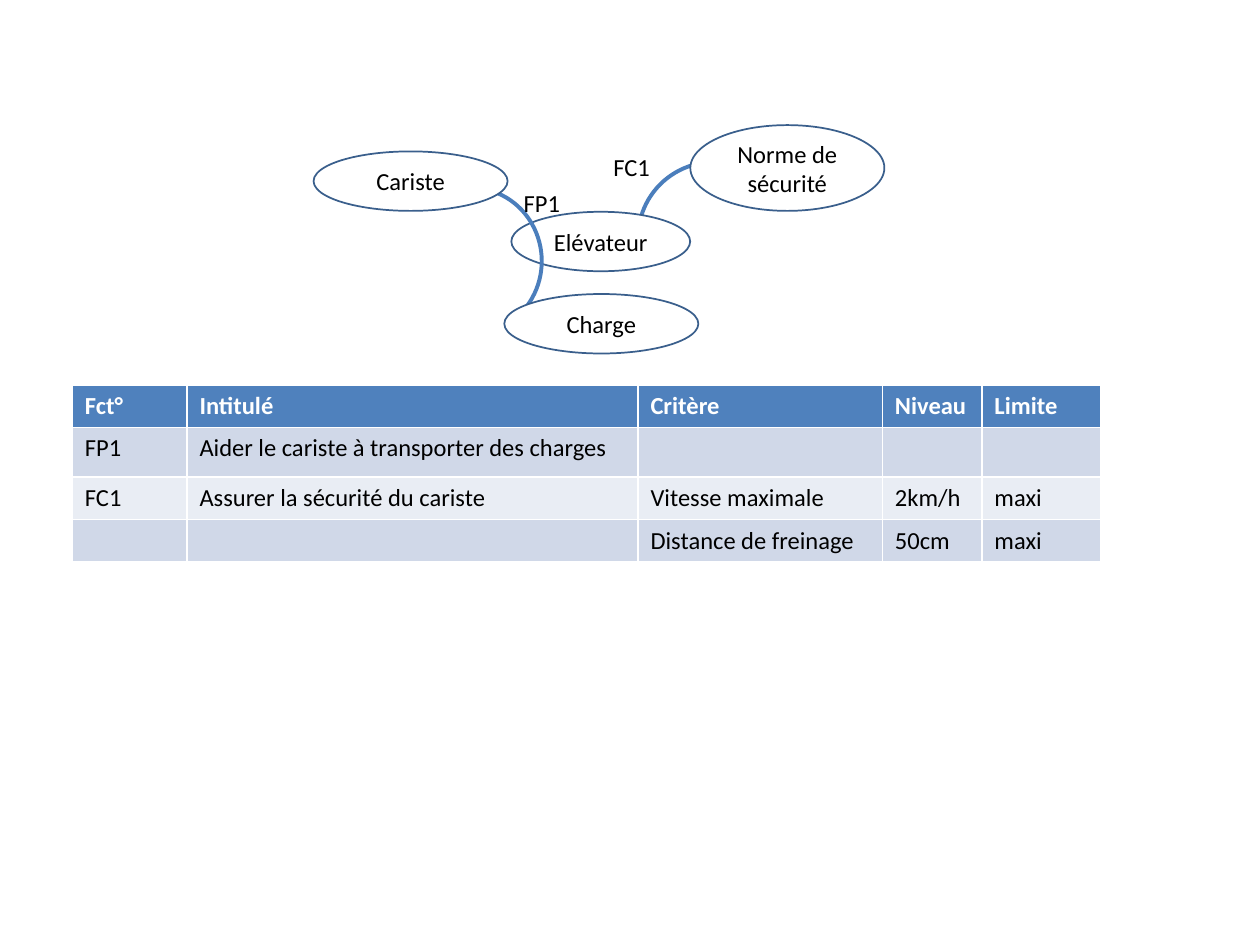
from pptx import Presentation
from pptx.dml.color import RGBColor
from pptx.enum.shapes import MSO_SHAPE
from pptx.enum.text import MSO_ANCHOR, PP_ALIGN
from pptx.util import Pt

ARC, ELLIPSE = MSO_SHAPE.ARC, MSO_SHAPE.OVAL
MIDDLE, CENTER = MSO_ANCHOR.MIDDLE, PP_ALIGN.CENTER
FONT, SIZE = "Calibri", 14
BLACK, WHITE = "000000", "FFFFFF"
HEADER, BANDS = "4F81BD", ("D0D8E8", "E9EDF4")
OUTLINE, LINK = "3A5F8C", "4B7EBC"
COLUMN_SHARES = (0.91, 3.58, 1.94, 0.79, 0.94)
ROW_HEIGHTS = (24.2, 28.5, 24.2, 24.2)
FUNCTIONS = (
    ("Fct°", "Intitulé", "Critère", "Niveau", "Limite"),
    ("FP1", "Aider le cariste à transporter des charges", "", "", ""),
    ("FC1", "Assurer la sécurité du cariste", "Vitesse maximale", "2km/h", "maxi"),
    ("", "", "Distance de freinage", "50cm", "maxi"),
)


def color(value):
    """Return the colour for a hex string."""
    return RGBColor.from_string(value)


def style_text(para, value=BLACK, bold=False):
    """Give a paragraph and its runs the font of the page."""
    for font in [para.font] + [span.font for span in para.runs]:
        font.name, font.size, font.bold = FONT, Pt(SIZE), bold
        font.color.rgb = color(value)


def add_outlined(shapes, preset, box, line, weight):
    """Add a preset shape with a plain outline and no shadow."""
    shape = shapes.add_shape(preset, *map(Pt, box))
    shape.shadow.inherit = False
    shape.line.color.rgb = color(line)
    shape.line.width = Pt(weight)
    return shape


def add_link(shapes, left, top, start, rotation=0):
    """Add the arc that links two elements."""
    arc = add_outlined(shapes, ARC, (left, top, 80, 83.5), LINK, 2.25)
    arc.fill.background()
    arc.adjustments[0], arc.adjustments[1] = start, 30.77
    arc.rotation = rotation


def add_element(shapes, text, left, top, width=110.9, height=34):
    """Add an ellipse with a centred name."""
    ellipse = add_outlined(shapes, ELLIPSE, (left, top, width, height), OUTLINE, 1)
    ellipse.fill.solid()
    ellipse.fill.fore_color.rgb = color(WHITE)
    frame = ellipse.text_frame
    frame.text = text
    frame.word_wrap = True
    frame.vertical_anchor = MIDDLE
    frame.paragraphs[0].alignment = CENTER
    style_text(frame.paragraphs[0])


def add_label(shapes, text, left, top):
    """Add the short name of a function."""
    frame = shapes.add_textbox(Pt(left), Pt(top), Pt(35.3), Pt(24.2)).text_frame
    frame.text = text
    frame.word_wrap = False
    style_text(frame.paragraphs[0])


def add_diagram(page, left, top):
    """Draw the lift, its surroundings and the links between them."""
    shapes = page.shapes.add_group_shape().shapes
    add_link(shapes, left + 186.5, top + 20.2, 180.96, 228.3)
    add_element(shapes, "Elévateur", left + 113, top + 49.5, 102.2)
    add_element(shapes, "Norme de sécurité", left + 215.3, top, height=49)
    add_link(shapes, left + 50.4, top + 36, 169.1)
    add_element(shapes, "Cariste", left, top + 15)
    add_element(shapes, "Charge", left + 109, top + 96.5)
    add_label(shapes, "FP1", left + 113, top + 32.4)
    add_label(shapes, "FC1", left + 164.2, top + 12)


def add_functions(page, left, top, width):
    """Fill the table of functions, with a header and banded rows."""
    box = map(Pt, (left, top, width, sum(ROW_HEIGHTS)))
    table = page.shapes.add_table(len(FUNCTIONS), len(COLUMN_SHARES), *box).table
    for column, share in zip(table.columns, COLUMN_SHARES):
        column.width = Pt(width * share / sum(COLUMN_SHARES))
    for index, (row, texts) in enumerate(zip(table.rows, FUNCTIONS)):
        row.height = Pt(ROW_HEIGHTS[index])
        header = index == 0
        for cell, text in zip(row.cells, texts):
            cell.fill.solid()
            cell.fill.fore_color.rgb = color(HEADER if header else BANDS[(index - 1) % 2])
            para = cell.text_frame.paragraphs[0]
            para.text = text
            style_text(para, WHITE if header else BLACK, header)


def main():
    """Build the page and save the deck."""
    deck = Presentation()
    deck.slide_width, deck.slide_height = Pt(720), Pt(540)
    page = deck.slides.add_slide(deck.slide_layouts[6])
    add_diagram(page, 179.2, 71.5)
    add_functions(page, 41.3, 220, 587.5)
    deck.save("out.pptx")


if __name__ == "__main__":
    main()
